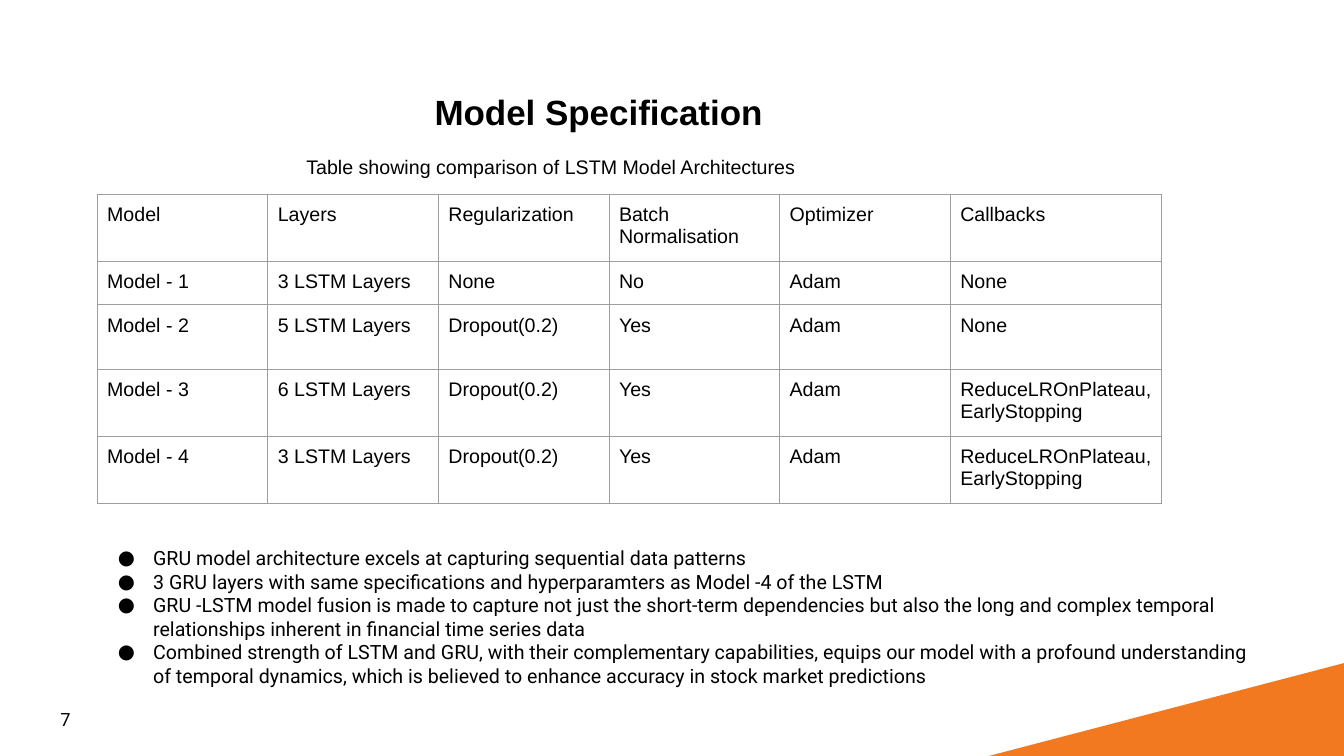
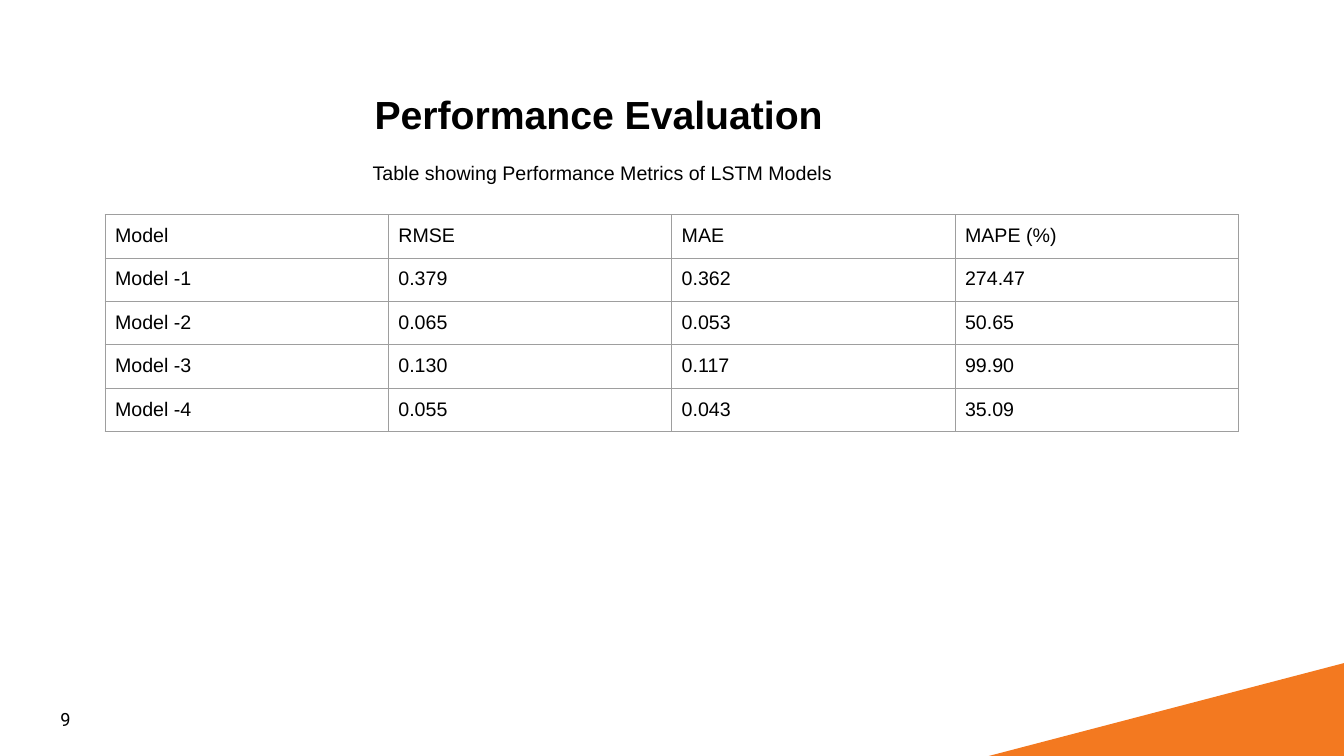
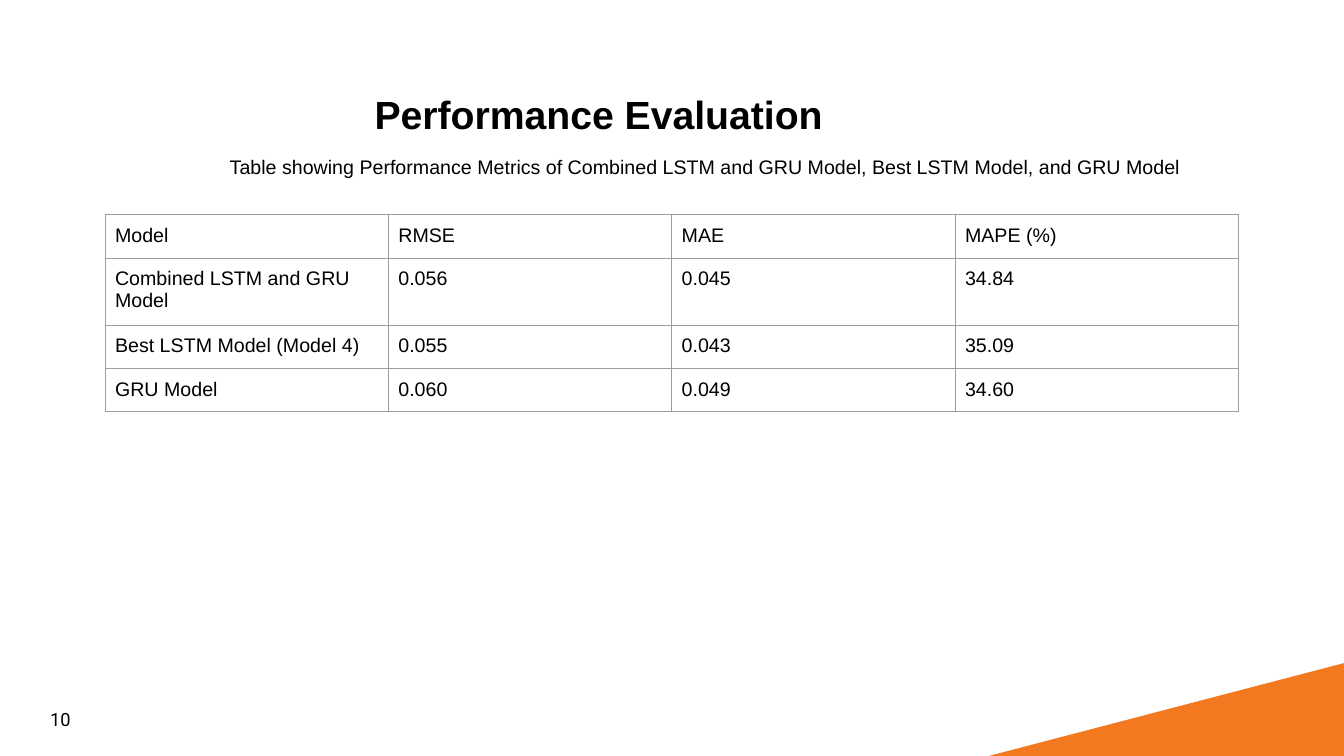
from lxml import etree
from pptx import Presentation
from pptx.dml.color import RGBColor
from pptx.enum.text import MSO_ANCHOR, PP_ALIGN
from pptx.oxml.ns import qn
from pptx.util import Cm, Pt

LEFT, CENTER, RIGHT = PP_ALIGN.LEFT, PP_ALIGN.CENTER, PP_ALIGN.RIGHT
TOP = MSO_ANCHOR.TOP

BLACK, ORANGE, GREY = "000000", "F37920", "9E9E9E"
HEADING_FONT, BODY_FONT = "Arial", "Roboto"
BODY_SIZE = 14
WIDTH, HEIGHT = 33.87, 19.05
INSET = 0.25
SINGLE_ROW, DOUBLE_ROW = 1.06, 1.63

METRIC_HEADER = ["Model", "RMSE", "MAE", "MAPE (%)"]
METRIC_LEFT, METRIC_TOP, METRIC_COLUMN = 2.65, 5.41, 7.14


def color(value):
    return RGBColor.from_string(value)


class Deck:
    def __init__(self):
        self.presentation = Presentation()
        self.presentation.slide_width = Cm(WIDTH)
        self.presentation.slide_height = Cm(HEIGHT)
        self.slide = None

    def add_slide(self, title, title_size, number):
        self.slide = self.presentation.slides.add_slide(self.presentation.slide_layouts[6])
        self.add_corner()
        self.add_text([title], 3.25, 2.03, 23.67, 1.6, title_size, bold=True, align=CENTER)
        self.add_text([str(number)], 0, 17.6, 2.03, 1.45, 13, BODY_FONT, align=RIGHT)

    def add_corner(self):
        builder = self.slide.shapes.build_freeform(Cm(24.92), Cm(HEIGHT))
        builder.add_line_segments([(Cm(WIDTH), Cm(16.71)), (Cm(WIDTH), Cm(HEIGHT))])
        corner = builder.convert_to_shape()
        corner.shadow.inherit = False
        corner.fill.solid()
        corner.fill.fore_color.rgb = color(ORANGE)
        corner.line.fill.background()

    def format_paragraph(self, paragraph, size, font, bold=False, align=LEFT):
        paragraph.alignment = align
        for run in paragraph.runs:
            run.font.size = Pt(size)
            run.font.name = font
            run.font.bold = bold
            run.font.color.rgb = color(BLACK)

    def add_text(self, lines, left, top, width, height, size=BODY_SIZE,
                 font=HEADING_FONT, bold=False, align=LEFT):
        box = self.slide.shapes.add_textbox(Cm(left), Cm(top), Cm(width), Cm(height))
        text_frame = box.text_frame
        text_frame.word_wrap = True
        text_frame.vertical_anchor = TOP
        text_frame.margin_left = text_frame.margin_right = Cm(INSET)
        text_frame.margin_top = text_frame.margin_bottom = Cm(INSET)
        text_frame.text = "\n".join(lines)
        for paragraph in text_frame.paragraphs:
            self.format_paragraph(paragraph, size, font, bold, align)
        return text_frame

    def add_bullets(self, lines, left, top, width, height):
        text_frame = self.add_text(lines, left, top, width, height, font=BODY_FONT)
        for paragraph in text_frame.paragraphs:
            properties = paragraph._p.get_or_add_pPr()
            properties.set("marL", str(Cm(1.27)))
            properties.set("indent", str(-Cm(0.89)))
            bullet_color = etree.SubElement(properties, qn("a:buClr"))
            etree.SubElement(bullet_color, qn("a:srgbClr"), val=BLACK)
            etree.SubElement(properties, qn("a:buFont"), typeface=BODY_FONT)
            etree.SubElement(properties, qn("a:buChar"), char="●")

    def add_table(self, rows, left, top, column_widths, row_heights):
        frame = self.slide.shapes.add_table(
            len(rows), len(column_widths), Cm(left), Cm(top),
            Cm(sum(column_widths)), Cm(sum(row_heights)))
        table = frame.table
        table.first_row = table.horz_banding = False
        for column, width in zip(table.columns, column_widths):
            column.width = Cm(width)
        for row, height, texts in zip(table.rows, row_heights, rows):
            row.height = Cm(height)
            for cell, text in zip(row.cells, texts):
                self.format_cell(cell, text)

    def format_cell(self, cell, text):
        cell.text_frame.text = text
        cell.vertical_anchor = TOP
        cell.margin_left = cell.margin_right = Cm(INSET)
        cell.margin_top = cell.margin_bottom = Cm(INSET)
        self.format_paragraph(cell.text_frame.paragraphs[0], BODY_SIZE, HEADING_FONT)
        properties = cell._tc.get_or_add_tcPr()
        for side in ("lnL", "lnR", "lnT", "lnB"):
            border = etree.SubElement(properties, qn(f"a:{side}"), w=str(Pt(0.75)))
            fill = etree.SubElement(border, qn("a:solidFill"))
            etree.SubElement(fill, qn("a:srgbClr"), val=GREY)
        cell.fill.background()

    def add_metrics(self, rows, row_heights):
        self.add_table([METRIC_HEADER] + rows, METRIC_LEFT, METRIC_TOP,
                       [METRIC_COLUMN] * len(METRIC_HEADER), row_heights)


def add_specification(deck):
    deck.add_slide("Model Specification", 25, 7)
    callbacks = "ReduceLROnPlateau, EarlyStopping"
    deck.add_table([
        ["Model", "Layers", "Regularization", "Batch Normalisation", "Optimizer", "Callbacks"],
        ["Model - 1", "3 LSTM Layers", "None", "No", "Adam", "None"],
        ["Model - 2", "5 LSTM Layers", "Dropout(0.2)", "Yes", "Adam", "None"],
        ["Model - 3", "6 LSTM Layers", "Dropout(0.2)", "Yes", "Adam", callbacks],
        ["Model - 4", "3 LSTM Layers", "Dropout(0.2)", "Yes", "Adam", callbacks],
    ], 2.45, 4.89, [4.3] * 5 + [5.32], [DOUBLE_ROW, SINGLE_ROW] + [DOUBLE_ROW] * 3)
    deck.add_bullets([
        "GRU model architecture excels at capturing sequential data patterns",
        "3 GRU layers with same specifications and hyperparamters as Model -4 of the LSTM",
        "GRU -LSTM model fusion is made to capture not just the short-term dependencies "
        "but also the long and complex temporal relationships inherent in financial time "
        "series data",
        "Combined strength of LSTM and GRU, with their complementary capabilities, equips "
        "our model with a profound understanding of temporal dynamics, which is believed "
        "to enhance accuracy in stock market predictions",
    ], 2.34, 13.51, 29.82, 4.52)
    deck.add_text(["Table showing comparison of LSTM Model Architectures"],
                  7.47, 3.66, 17.15, 0.89)


def add_lstm_performance(deck):
    deck.add_slide("Performance Evaluation", 28, 9)
    deck.add_metrics([
        ["Model -1", "0.379", "0.362", "274.47"],
        ["Model -2", "0.065", "0.053", "50.65"],
        ["Model -3", "0.130", "0.117", "99.90"],
        ["Model -4", "0.055", "0.043", "35.09"],
    ], [SINGLE_ROW] * 5)
    deck.add_text(["Table showing Performance Metrics of LSTM Models"],
                  9.14, 3.81, 22.38, 1.12)


def add_combined_performance(deck):
    deck.add_slide("Performance Evaluation", 28, 10)
    deck.add_metrics([
        ["Combined LSTM and GRU Model", "0.056", "0.045", "34.84"],
        ["Best LSTM Model (Model 4)", "0.055", "0.043", "35.09"],
        ["GRU Model", "0.060", "0.049", "34.60"],
    ], [SINGLE_ROW, DOUBLE_ROW, SINGLE_ROW, SINGLE_ROW])
    deck.add_text(["Table showing Performance Metrics of Combined LSTM and GRU Model, "
                   "Best LSTM Model, and GRU Model"], 5.54, 3.66, 25.4, 1.02)


def main():
    deck = Deck()
    add_specification(deck)
    add_lstm_performance(deck)
    add_combined_performance(deck)
    deck.presentation.save("out.pptx")


if __name__ == "__main__":
    main()
